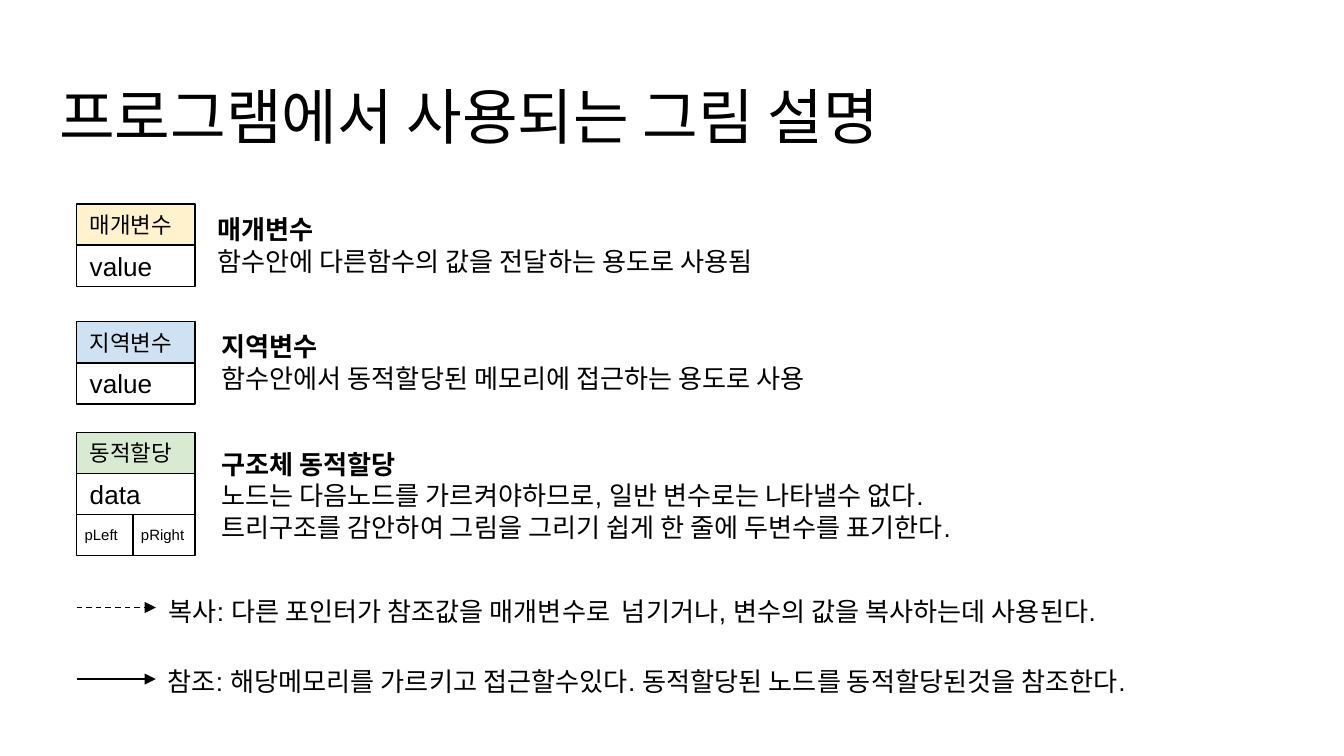
from pptx import Presentation
from pptx.dml.color import RGBColor
from pptx.enum.dml import MSO_LINE
from pptx.enum.shapes import MSO_CONNECTOR, MSO_SHAPE
from pptx.enum.text import MSO_ANCHOR, MSO_AUTO_SIZE, PP_ALIGN
from pptx.oxml.ns import qn
from pptx.util import Pt
from lxml import etree

RECTANGLE = MSO_SHAPE.RECTANGLE
STRAIGHT = MSO_CONNECTOR.STRAIGHT
DASH = MSO_LINE.DASH
SOLID = MSO_LINE.SOLID
TOP = MSO_ANCHOR.TOP
MIDDLE = MSO_ANCHOR.MIDDLE
LEFT = PP_ALIGN.LEFT
NO_AUTOFIT = MSO_AUTO_SIZE.NONE

BLACK = "000000"
WHITE = "FFFFFF"
BOX_LEFT = 41
BOX_WIDTH = 63.4
ROW_HEIGHT = 22
POINTER_WIDTH = 30.2
ARROW_END = 83.5


def color(hex_code):
    return RGBColor.from_string(hex_code)


def write(shape, text, size=14, anchor=TOP, inset=7.2, bold_first=False):
    frame = shape.text_frame
    frame.word_wrap = True
    frame.auto_size = NO_AUTOFIT
    frame.vertical_anchor = anchor
    frame.margin_left = frame.margin_right = Pt(inset)
    frame.margin_top = frame.margin_bottom = Pt(inset)
    frame.text = text
    for index, paragraph in enumerate(frame.paragraphs):
        paragraph.alignment = LEFT
        for run in paragraph.runs:
            run.font.name = "Arial"
            run.font.size = Pt(size)
            run.font.bold = bold_first and index == 0
            run.font.color.rgb = color(BLACK)


presentation = Presentation()
presentation.slide_width = Pt(720)
presentation.slide_height = Pt(405)
slide = presentation.slides.add_slide(presentation.slide_layouts[5])

title = slide.shapes.title
title.left, title.top, title.width, title.height = Pt(24.5), Pt(35), Pt(671), Pt(45)
write(title, "프로그램에서 사용되는 그림 설명", size=32.4)

variables = [
    (109.4, "매개변수", "FFF2CC", "value"),
    (172.4, "지역변수", "CFE2F3", "value"),
    (231.6, "동적할당", "D9EAD3", "data"),
]
cells = []
for top, name, fill, value in variables:
    cells.append((BOX_LEFT, top, BOX_WIDTH, name, fill, 12, 7.2))
    cells.append((BOX_LEFT, top + ROW_HEIGHT, BOX_WIDTH, value, WHITE, 14, 7.2))

pointer_top = variables[-1][0] + 2 * ROW_HEIGHT
cells.append((BOX_LEFT, pointer_top, POINTER_WIDTH, "pLeft", WHITE, 8, 4.3))
cells.append((BOX_LEFT + POINTER_WIDTH, pointer_top, BOX_WIDTH - POINTER_WIDTH,
              "pRight", WHITE, 8, 4.3))

for left, top, width, text, fill, size, inset in cells:
    cell = slide.shapes.add_shape(RECTANGLE, Pt(left), Pt(top), Pt(width), Pt(ROW_HEIGHT))
    cell.shadow.inherit = False
    cell.fill.solid()
    cell.fill.fore_color.rgb = color(fill)
    cell.line.color.rgb = color(BLACK)
    cell.line.width = Pt(0.75)
    write(cell, text, size=size, anchor=MIDDLE, inset=inset)

descriptions = [
    (109.4, 107.2, 378, 48, "매개변수\n함수안에 다른함수의 값을 전달하는 용도로 사용됨"),
    (111.6, 170, 378, 48, "지역변수\n함수안에서 동적할당된 메모리에 접근하는 용도로 사용"),
    (111.6, 233, 475, 65.5,
     "구조체 동적할당\n노드는 다음노드를 가르켜야하므로, 일반 변수로는 나타낼수 없다.\n"
     "트리구조를 감안하여 그림을 그리기 쉽게 한 줄에 두변수를 표기한다."),
]
for left, top, width, height, text in descriptions:
    description = slide.shapes.add_textbox(Pt(left), Pt(top), Pt(width), Pt(height))
    write(description, text, bold_first=True)

arrows = [
    (325.5, DASH, 83.3, 312, 587.5, 16,
     "복사: 다른 포인터가 참조값을 매개변수로  넘기거나, 변수의 값을 복사하는데 사용된다."),
    (363.8, SOLID, 82.8, 349.4, 694, 29,
     "참조: 해당메모리를 가르키고 접근할수있다. 동적할당된 노드를 동적할당된것을 참조한다."),
]
for y, dash, left, top, width, height, text in arrows:
    arrow = slide.shapes.add_connector(STRAIGHT, Pt(BOX_LEFT), Pt(y), Pt(ARROW_END), Pt(y))
    arrow.line.color.rgb = color(BLACK)
    arrow.line.width = Pt(0.75)
    arrow.line.dash_style = dash
    properties = arrow._element.spPr
    etree.SubElement(properties.find(qn("a:ln")), qn("a:tailEnd"), type="triangle")
    etree.SubElement(properties, qn("a:effectLst"))
    label = slide.shapes.add_textbox(Pt(left), Pt(top), Pt(width), Pt(height))
    write(label, text)

presentation.save("out.pptx")
